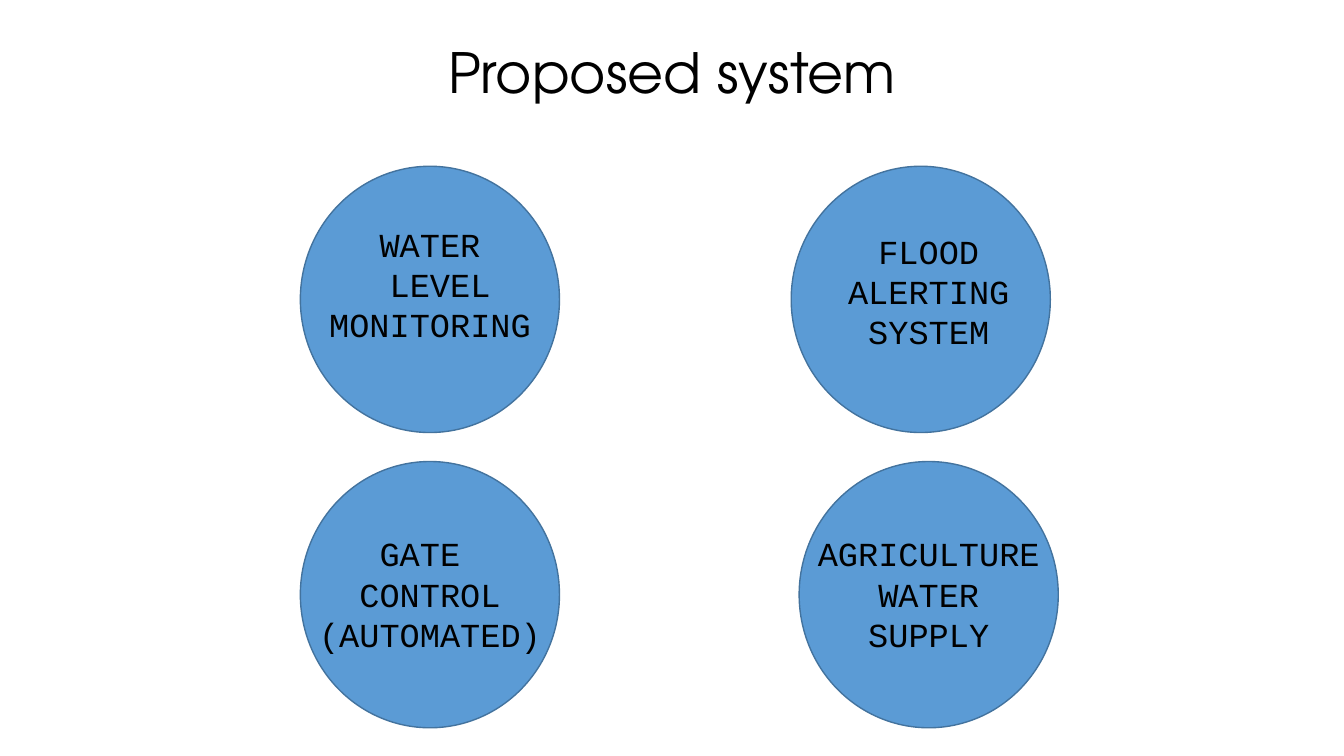
from pptx import Presentation
from pptx.dml.color import RGBColor
from pptx.enum import shapes, text
from pptx.util import Cm, Pt

TITLE = "Proposed system"
CIRCLE_WIDTH, CIRCLE_HEIGHT = 6.53, 6.71
LABEL_HEIGHT = 3.33
LEFT, RIGHT = 7.57, 20.14
TOP, BOTTOM = 4.19, 11.63
# Circle left and top, label left and top (cm), label paragraphs
MODULES = [
    (LEFT, TOP, LEFT, 5.51, ["WATER", " LEVEL MONITORING"]),
    (19.94, TOP, RIGHT, 5.69, ["FLOOD", "ALERTING", "SYSTEM"]),
    (LEFT, BOTTOM, LEFT, 13.31, ["GATE ", "CONTROL", "(AUTOMATED)"]),
    (RIGHT, BOTTOM, RIGHT, 13.31, ["AGRICULTURE", "WATER", "SUPPLY"]),
]


def color(value):
    return RGBColor.from_string(value)


def add_circle(slide, left, top):
    circle = slide.shapes.add_shape(
        shapes.MSO_SHAPE.OVAL, Cm(left), Cm(top), Cm(CIRCLE_WIDTH), Cm(CIRCLE_HEIGHT))
    circle.shadow.inherit = False
    circle.fill.solid()
    circle.fill.fore_color.rgb = color("5B9BD5")
    circle.line.color.rgb = color("43739E")
    circle.line.width = Pt(1)


def add_text(slide, box, lines, font, size):
    """Add a centred text box with one paragraph per line and return its frame."""
    frame = slide.shapes.add_textbox(*map(Cm, box)).text_frame
    frame.word_wrap = True
    for index, line in enumerate(lines):
        paragraph = frame.add_paragraph() if index else frame.paragraphs[0]
        paragraph.alignment = text.PP_ALIGN.CENTER
        run = paragraph.add_run()
        run.text = line
        run.font.name = font
        run.font.size = Pt(size)
        run.font.color.rgb = color("000000")
    return frame


def main():
    presentation = Presentation()
    presentation.slide_width, presentation.slide_height = Cm(33.87), Cm(19.05)
    slide = presentation.slides.add_slide(presentation.slide_layouts[6])

    title = add_text(slide, (2.33, 1.02, 29.21, 1.78), [TITLE], "TeX Gyre Adventor", 39.6)
    title.vertical_anchor = text.MSO_ANCHOR.MIDDLE
    title.paragraphs[0].line_spacing = 0.9

    for left, top, *_ in MODULES:
        add_circle(slide, left, top)
    for *_, left, top, lines in MODULES:
        label = add_text(slide, (left, top, CIRCLE_WIDTH, LABEL_HEIGHT), lines, "Courier New", 24)
        label.auto_size = text.MSO_AUTO_SIZE.SHAPE_TO_FIT_TEXT

    presentation.save("out.pptx")


if __name__ == "__main__":
    main()
